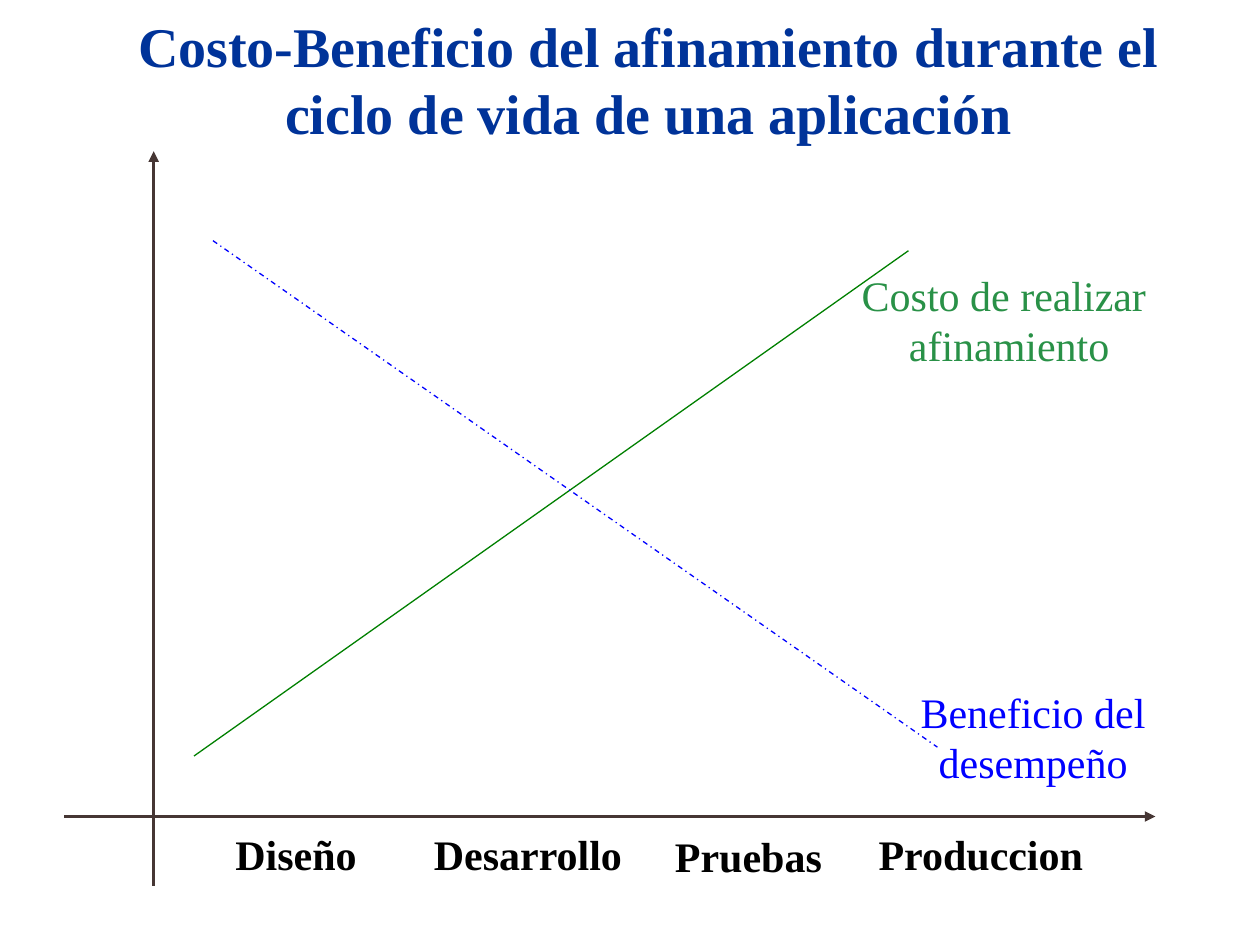
"""Build a slide that plots tuning cost against benefit over an application's life cycle."""
from lxml import etree
from pptx import Presentation
from pptx.dml.color import RGBColor
from pptx.enum import dml, shapes, text
from pptx.oxml import ns
from pptx.util import Inches, Pt

FONT = "Times New Roman"
TITLE_BLUE = RGBColor(0x00, 0x33, 0x99)
AXIS_BROWN = RGBColor(0x46, 0x36, 0x34)
COST_GREEN = RGBColor(0x00, 0x80, 0x00)
COST_TEXT = RGBColor(0x29, 0x91, 0x47)
BENEFIT_BLUE = RGBColor(0x00, 0x00, 0xFF)
BLACK = RGBColor(0x00, 0x00, 0x00)


def format_paragraph(paragraph, size, color, bold):
    """Centre a paragraph and set its font."""
    paragraph.alignment = text.PP_ALIGN.CENTER
    font = paragraph.font
    font.name, font.size, font.bold = FONT, Pt(size), bold
    font.color.rgb = color


def set_title(slide, wording):
    """Place and format the title placeholder."""
    title = slide.shapes.title
    title.left, title.top, title.width, title.height = map(Inches, (0.9, 0, 8.5, 1.25))
    frame = title.text_frame
    frame.text = wording
    frame.word_wrap = True
    frame.auto_size = text.MSO_AUTO_SIZE.NONE
    frame.vertical_anchor = text.MSO_ANCHOR.MIDDLE
    format_paragraph(frame.paragraphs[0], 32, TITLE_BLUE, True)


def add_label(slide, wording, box, color=BLACK, bold=False, wrap=False):
    """Add a centred label with one paragraph per line of wording."""
    frame = slide.shapes.add_textbox(*map(Inches, box)).text_frame
    frame.text = wording
    frame.word_wrap = wrap
    frame.auto_size = text.MSO_AUTO_SIZE.SHAPE_TO_FIT_TEXT
    for paragraph in frame.paragraphs:
        format_paragraph(paragraph, 24, color, bold)


def add_line(slide, start, end, color, width, dash=None, arrow=False):
    """Add a straight line, optionally dashed or with an arrowhead at its end."""
    connector = slide.shapes.add_connector(
        shapes.MSO_CONNECTOR.STRAIGHT, *map(Inches, start + end))
    line = connector.line
    line.color.rgb = color
    line.width = Pt(width)
    if dash:
        line.dash_style = dash
    if arrow:
        etree.SubElement(line._get_or_add_ln(), ns.qn("a:tailEnd"), type="triangle")
    etree.SubElement(connector._element.spPr, ns.qn("a:effectLst"))


def main():
    """Build and save the slide."""
    presentation = Presentation()
    presentation.slide_width, presentation.slide_height = Inches(10), Inches(7.5)
    slide = presentation.slides.add_slide(presentation.slide_layouts[5])

    set_title(slide, "Costo-Beneficio del afinamiento durante el "
                     "ciclo de vida de una aplicación")
    for start, end in (((1.22, 7.03), (1.22, 1.2)), ((0.51, 6.48), (9.17, 6.48))):
        add_line(slide, start, end, AXIS_BROWN, 2.01, arrow=True)

    phases = (("Diseño", 1.77, 6.53, 1.16, False),
              ("Desarrollo", 3.13, 6.53, 2.12, True),
              ("Pruebas", 4.84, 6.54, 2.2, True),
              ("Produccion", 6.87, 6.53, 1.83, False))
    for phase, left, top, width, wrap in phases:
        add_label(slide, phase, (left, top, width, 0.5), bold=True, wrap=wrap)

    add_label(slide, "Costo de realizar \nafinamiento", (6.74, 2.09, 2.54, 0.9), COST_TEXT)
    add_label(slide, "Beneficio del\ndesempeño", (7.15, 5.4, 2.1, 0.9), BENEFIT_BLUE)
    add_line(slide, (1.54, 6), (7.21, 1.99), COST_GREEN, 0.74)
    add_line(slide, (1.69, 1.91), (7.44, 5.93), BENEFIT_BLUE, 0.74,
             dash=dml.MSO_LINE.DASH_DOT)

    presentation.save("out.pptx")


main()
